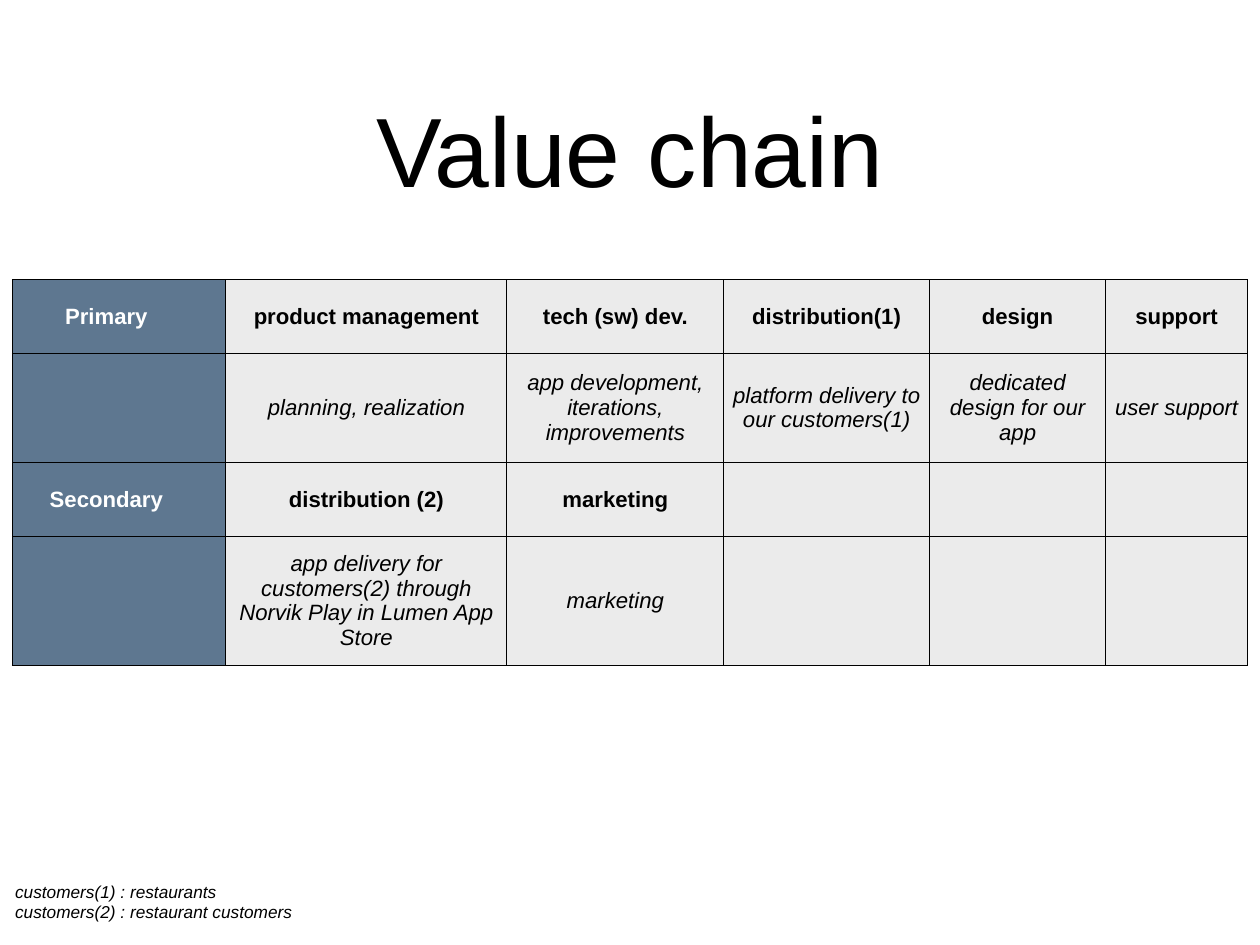
from dataclasses import dataclass

from lxml.etree import SubElement as Sub
from pptx import Presentation
from pptx.dml.color import RGBColor as Color
from pptx.enum.text import MSO_ANCHOR as Anchor, MSO_AUTO_SIZE as Auto, PP_ALIGN as Align
from pptx.oxml.ns import qn
from pptx.util import Inches, Pt


@dataclass(frozen=True)
class Theme:
    font: str = "Arial"
    ink: str = "000000"
    light: str = "FFFFFF"
    head: str = "5E7790"
    body: str = "EBEBEB"
    title: int = 80
    cell: int = 18
    note: int = 14
    pad: float = 0.06
    shift: float = 0.35


THEME = Theme()
COLS = [2.41, 3.17, 2.45, 2.32, 1.99, 1.6]
ROWS = [0.83, 1.23, 0.84, 1.45]
CHAIN = [
    ["Primary", "product management", "tech (sw) dev.", "distribution(1)", "design", "support"],
    ["", "planning, realization", "app development, iterations, improvements",
     "platform delivery to our customers(1)", "dedicated design for our app", "user support"],
    ["Secondary", "distribution (2)", "marketing", "", "", ""],
    ["", "app delivery for customers(2) through Norvik Play in Lumen App Store",
     "marketing", "", "", ""],
]
NOTES = ["customers(1) : restaurants", "customers(2) : restaurant customers"]


def style(para, size, color=THEME.ink, bold=False, italic=False):
    font = para.font
    font.name, font.size = THEME.font, Pt(size)
    font.bold, font.italic = bold, italic
    font.color.rgb = Color.from_string(color)


def inset(item, pad):
    item.margin_left = item.margin_right = Inches(pad)
    item.margin_top = item.margin_bottom = Inches(pad)


def add_text(slide, box, lines, size, pad=0, italic=False):
    frame = slide.shapes.add_textbox(*map(Inches, box)).text_frame
    inset(frame, pad)
    frame.text = "\n".join(lines)
    for para in frame.paragraphs:
        style(para, size, italic=italic)
    return frame


def add_edges(cell):
    props = cell._tc.get_or_add_tcPr()
    for spot, side in enumerate(("lnL", "lnR", "lnT", "lnB")):
        line = props.makeelement(qn(f"a:{side}"), {"w": str(Pt(1))})
        fill = Sub(line, qn("a:solidFill"))
        Sub(fill, qn("a:srgbClr"), val=THEME.ink)
        props.insert(spot, line)


def fill_cell(cell, text, head, label):
    cell.fill.solid()
    cell.fill.fore_color.rgb = Color.from_string(THEME.head if head else THEME.body)
    cell.vertical_anchor = Anchor.MIDDLE
    inset(cell, THEME.pad)
    if head:
        cell.margin_right = Inches(THEME.shift)
    cell.text = text
    para = cell.text_frame.paragraphs[0]
    para.alignment = Align.CENTER
    style(para, THEME.cell, THEME.light if head else THEME.ink, label, not label)
    add_edges(cell)


def add_grid(slide, left, top):
    box = map(Inches, (left, top, sum(COLS), sum(ROWS)))
    table = slide.shapes.add_table(len(ROWS), len(COLS), *box).table
    table.first_row = table.horz_banding = False
    for col, width in zip(table.columns, COLS):
        col.width = Inches(width)
    for row, height in zip(table.rows, ROWS):
        row.height = Inches(height)
    for r, texts in enumerate(CHAIN):
        for c, text in enumerate(texts):
            fill_cell(table.cell(r, c), text, c == 0, r % 2 == 0)


def main():
    deck = Presentation()
    deck.slide_width, deck.slide_height = Inches(14.22), Inches(10.67)
    slide = deck.slides.add_slide(deck.slide_layouts[6])
    add_grid(slide, 0.14, 3.16)
    title = add_text(slide, (1.04, 0.49, 12.14, 2.36), ["Value chain"], THEME.title)
    title.word_wrap = True
    title.vertical_anchor = Anchor.MIDDLE
    title.paragraphs[0].alignment = Align.CENTER
    notes = add_text(slide, (0.11, 9.89, 3.32, 0.58), NOTES, THEME.note, THEME.pad, True)
    notes.word_wrap = False
    notes.auto_size = Auto.SHAPE_TO_FIT_TEXT
    notes.vertical_anchor = Anchor.MIDDLE
    deck.save("out.pptx")


if __name__ == "__main__":
    main()
